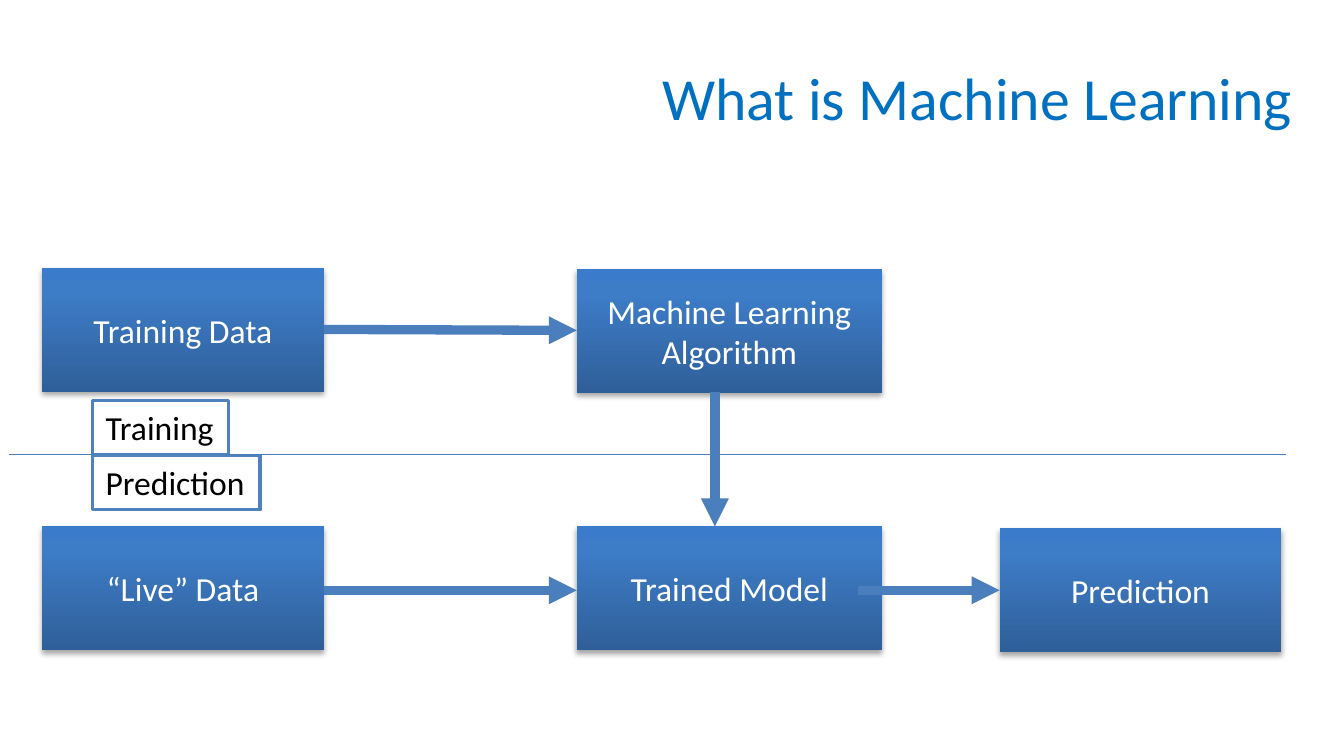
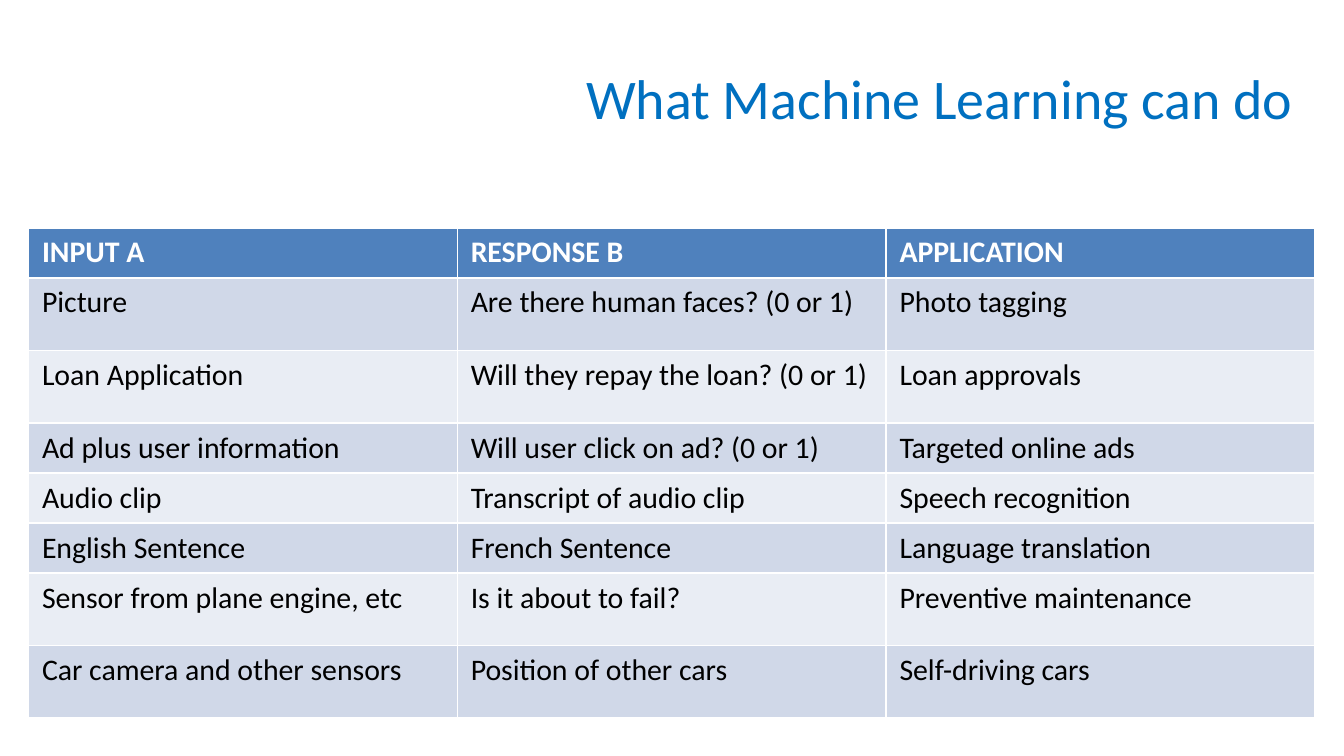
from copy import deepcopy

from lxml import etree
from pptx import Presentation
from pptx.dml.color import RGBColor
from pptx.enum import shapes, text
from pptx.oxml import ns
from pptx.util import Pt

COLORS = {
    "title": "0070C0", "accent": "4F81BD", "arrow": "4B7EBC",
    "white": "FFFFFF", "black": "000000",
    "band_dark": "D0D8E8", "band_light": "E9EDF4",
}
BOX_GRADIENT = [(0, "2F5F99"), (0.8, "3D7CC7"), (1, "3A7CCB")]
FONT = "Calibri"


def rgb(name):
    return RGBColor.from_string(COLORS[name])


def add_element(parent, tag, **attrs):
    return etree.SubElement(parent, ns.qn(tag), **attrs)


class Deck:
    def __init__(self):
        self.prs = Presentation()
        self.prs.slide_width, self.prs.slide_height = Pt(720), Pt(405)
        self.slide = None

    def style(self, tf, size, color, align=None, bold=False):
        for p in tf.paragraphs:
            if align is not None:
                p.alignment = align
            for r in p.runs:
                r.font.name, r.font.size, r.font.bold = FONT, Pt(size), bold
                r.font.color.rgb = rgb(color)

    def new_slide(self, title, size):
        self.slide = self.prs.slides.add_slide(self.prs.slide_layouts[5])
        sp = self.slide.shapes.title
        sp.left, sp.top, sp.width, sp.height = Pt(49), Pt(21.6), Pt(651), Pt(60.5)
        tf = sp.text_frame
        tf.text = title
        tf.vertical_anchor = text.MSO_ANCHOR.MIDDLE
        self.style(tf, size, "title", text.PP_ALIGN.RIGHT)

    def box(self, label, x, y, w, h):
        sp = self.slide.shapes.add_shape(
            shapes.MSO_SHAPE.RECTANGLE, Pt(x), Pt(y), Pt(w), Pt(h))
        sp.fill.gradient()
        sp.fill.gradient_angle = 90
        stops = sp._element.spPr.find(ns.qn("a:gradFill")).find(ns.qn("a:gsLst"))
        stops.append(deepcopy(stops[-1]))
        for stop, (position, color) in zip(sp.fill.gradient_stops, BOX_GRADIENT):
            stop.position = position
            stop.color.rgb = RGBColor.from_string(color)
        sp.line.fill.background()
        self.add_shadow(sp)
        tf = sp.text_frame
        tf.text = label
        tf.word_wrap = True
        tf.vertical_anchor = text.MSO_ANCHOR.MIDDLE
        self.style(tf, 18, "white", text.PP_ALIGN.CENTER)

    def add_shadow(self, sp):
        sp.shadow.inherit = False
        effects = sp._element.spPr.find(ns.qn("a:effectLst"))
        shadow = add_element(effects, "a:outerShdw", blurRad=str(Pt(3.1)),
                             dist=str(Pt(1.8)), dir="5400000", rotWithShape="0")
        color = add_element(shadow, "a:srgbClr", val=COLORS["black"])
        add_element(color, "a:alpha", val="35000")

    def label(self, words, x, y, w, h):
        sp = self.slide.shapes.add_textbox(Pt(x), Pt(y), Pt(w), Pt(h))
        sp.fill.solid()
        sp.fill.fore_color.rgb = rgb("white")
        sp.line.color.rgb = rgb("accent")
        sp.line.width = Pt(2)
        tf = sp.text_frame
        tf.text = words
        tf.word_wrap = False
        tf.auto_size = text.MSO_AUTO_SIZE.SHAPE_TO_FIT_TEXT
        self.style(tf, 18, "black")

    def line(self, x1, y1, x2, y2, width=5, arrow=True):
        sp = self.slide.shapes.add_connector(
            shapes.MSO_CONNECTOR.STRAIGHT, Pt(x1), Pt(y1), Pt(x2), Pt(y2))
        sp.line.color.rgb = rgb("arrow")
        sp.line.width = Pt(width)
        if arrow:
            add_element(sp.line._get_or_add_ln(), "a:tailEnd", type="triangle")
        add_element(sp._element.spPr, "a:effectLst")

    def table(self, rows, heights, x, y, w):
        frame = self.slide.shapes.add_table(
            len(rows), len(rows[0]), Pt(x), Pt(y), Pt(w), Pt(sum(heights)))
        table = frame.table
        for i, (row, height) in enumerate(zip(rows, heights)):
            table.rows[i].height = Pt(height)
            header = i == 0
            fill = "accent" if header else "band_dark" if i % 2 else "band_light"
            for j, words in enumerate(row):
                cell = table.cell(i, j)
                cell.text = words
                cell.fill.solid()
                cell.fill.fore_color.rgb = rgb(fill)
                self.style(cell.text_frame, 16, "white" if header else "black",
                           bold=header)


def process_slide(deck):
    deck.new_slide("What is Machine Learning", 32)
    data_x, model_x, result_x = 22.5, 309, 535.5
    data_w, model_w, box_h = 151, 163.5, 66.5
    train_y, live_y = 143.5, 282
    deck.box("Training Data", data_x, train_y, data_w, box_h)
    deck.box("Machine Learning Algorithm", model_x, train_y + 0.5, model_w, box_h)
    deck.box("Trained Model", model_x, live_y, model_w, box_h)
    deck.box("“Live” Data", data_x, live_y, data_w, box_h)
    deck.box("Prediction", result_x, live_y + 1, data_w, box_h)
    data_end = data_x + data_w
    live_mid = live_y + box_h / 2 + 1
    deck.line(data_end, 176.5, model_x, 177)
    deck.line(data_end, live_mid, model_x, live_mid)
    deck.line(459.5, live_mid, result_x, live_mid)
    deck.label("Training", 49.5, 214.5, 73, 29)
    deck.label("Prediction", 49.5, 244, 90, 29)
    deck.line(383, train_y + box_h, 383, live_y)
    deck.line(5, 243.5, 689, 243.5, width=0.75, arrow=False)


def uses_slide(deck):
    deck.new_slide("What Machine Learning can do", 30)
    short, tall = 22.3, 38.9
    rows = [
        ("INPUT A", "RESPONSE B", "APPLICATION"),
        ("Picture", "Are there human faces? (0 or 1)", "Photo tagging"),
        ("Loan Application", "Will they repay the loan? (0 or 1)", "Loan approvals"),
        ("Ad plus user information", "Will user click on ad? (0 or 1)",
         "Targeted online ads"),
        ("Audio clip", "Transcript of audio clip", "Speech recognition"),
        ("English Sentence", "French Sentence", "Language translation"),
        ("Sensor from plane engine, etc", "Is it about to fail?",
         "Preventive maintenance"),
        ("Car camera and other sensors", "Position of other cars",
         "Self-driving cars"),
    ]
    heights = [short, tall, tall, short, short, short, tall, tall]
    deck.table(rows, heights, 15.3, 122, 689.1)


def main():
    deck = Deck()
    process_slide(deck)
    uses_slide(deck)
    deck.prs.save("out.pptx")


if __name__ == "__main__":
    main()
